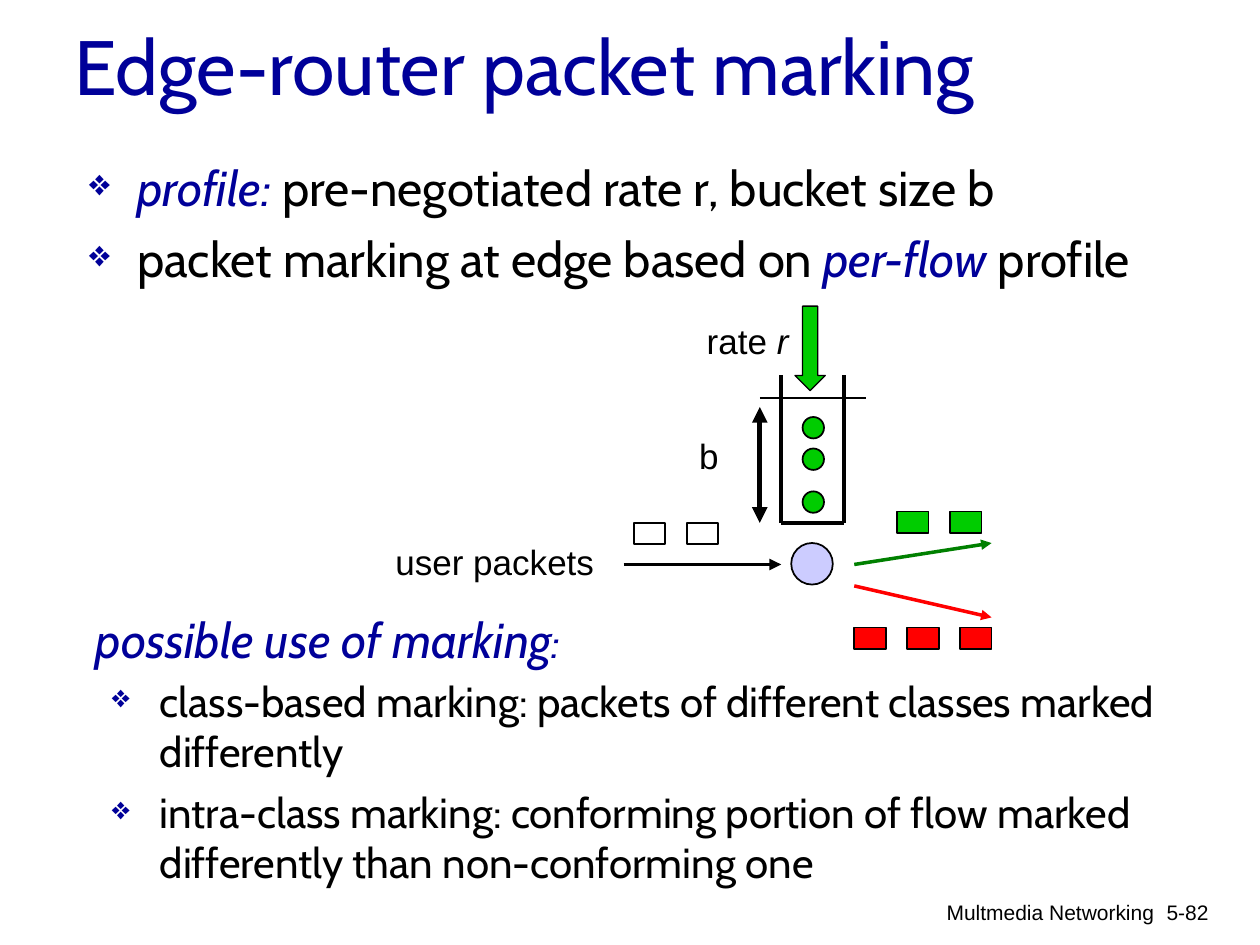
from lxml.etree import SubElement
from pptx import Presentation
from pptx.dml.color import RGBColor
from pptx.enum.shapes import MSO_CONNECTOR, MSO_SHAPE
from pptx.enum.text import MSO_ANCHOR, PP_ALIGN
from pptx.oxml.ns import qn
from pptx.util import Pt

PX = 9144
COLORS = {
    "navy": "000099", "black": "000000", "white": "FFFFFF", "token": "00CC00",
    "red": "FF0000", "green": "008000", "marker": "CCCCFF",
}
NAVY = {"size": 28, "name": "Cabin", "color": "navy", "italic": True}
BODY = {"size": 28, "name": "Cabin", "color": "black", "italic": False}
USE = {**BODY, "size": 24}
LABEL = {"size": 20, "name": "Arial", "color": "black", "italic": False}
FOOTER = {**LABEL, "size": 12}


def fill_text(shape, box, paragraphs, space=0, bullet=False, align=PP_ALIGN.LEFT, anchor=MSO_ANCHOR.TOP):
    shape.left, shape.top, shape.width, shape.height = [value * PX for value in box]
    frame = shape.text_frame
    frame.word_wrap = True
    frame.vertical_anchor = anchor
    for index, runs in enumerate(paragraphs):
        paragraph = frame.add_paragraph() if index else frame.paragraphs[0]
        paragraph.alignment = align
        if index:
            paragraph.space_before = Pt(space)
        if bullet:
            properties = paragraph._p.get_or_add_pPr()
            properties.set("marL", str(38 * PX))
            properties.set("indent", str(-38 * PX))
            color = SubElement(properties, qn("a:buClr"))
            SubElement(color, qn("a:srgbClr"), val=COLORS["navy"])
            SubElement(properties, qn("a:buSzPct"), val="75000")
            SubElement(properties, qn("a:buChar"), char="❖")
        for text, style in runs:
            run = paragraph.add_run()
            run.text = text
            for attribute, value in style.items():
                if attribute == "color":
                    run.font.color.rgb = RGBColor.from_string(COLORS[value])
                else:
                    setattr(run.font, attribute, Pt(value) if attribute == "size" else value)


presentation = Presentation()
presentation.slide_width = 1000 * PX
presentation.slide_height = 750 * PX
slide = presentation.slides.add_slide(presentation.slide_layouts[5])

fill_text(slide.shapes.title, (49, 14, 850, 75),
          [[("Edge-router packet marking", {**BODY, "size": 44, "color": "navy"})]],
          anchor=MSO_ANCHOR.MIDDLE)

profile_points = [
    [("profile: ", NAVY), ("pre-negotiated rate r, bucket size b", BODY)],
    [("packet marking at edge based on ", BODY), ("per-flow ", NAVY), ("profile", BODY)],
]
use_points = [
    [("class-based marking: packets of different classes marked differently", USE)],
    [("intra-class marking: conforming portion of flow marked differently than non-conforming one", USE)],
]
use_heading = [("possible use of marking", NAVY), (":", {**NAVY, "size": 24})]
rate_label = [("rate ", LABEL), ("r", {**LABEL, "italic": True})]
text_boxes = [
    ((61, 120, 875, 100), profile_points, {"space": 7, "bullet": True}),
    ((66, 479, 492, 57), [use_heading], {}),
    ((79, 531, 900, 200), use_points, {"space": 6, "bullet": True}),
    ((304, 424, 233, 44), [[("user packets", LABEL)]], {}),
    ((551, 249, 125, 44), [rate_label], {}),
    ((545, 340, 38, 44), [[("b", LABEL)]], {}),
    ((609, 709, 317, 50), [[("Multmedia Networking", FOOTER)]], {"align": PP_ALIGN.RIGHT}),
    ((895, 709, 74, 50), [[("5-82", FOOTER)]], {"align": PP_ALIGN.RIGHT}),
]
for box, paragraphs, options in text_boxes:
    fill_text(slide.shapes.add_textbox(0, 0, 0, 0), box, paragraphs, **options)

shapes = [
    (MSO_SHAPE.OVAL, (628, 431, 33, 33), "marker", 1),
    (MSO_SHAPE.DOWN_ARROW, (631, 243, 24, 67), "token", 0.75),
]
for left, top, count, color in [(503, 415, 2, "white"), (712, 406, 2, "token"), (678, 498, 3, "red")]:
    for index in range(count):
        shapes.append((MSO_SHAPE.RECTANGLE, (left + 42 * index, top, 25, 17), color, 1))
for top in (331, 356, 390):
    shapes.append((MSO_SHAPE.OVAL, (637, top, 17, 17), "token", 1))
for kind, box, color, width in shapes:
    shape = slide.shapes.add_shape(kind, *[value * PX for value in box])
    shape.shadow.inherit = False
    shape.fill.solid()
    shape.fill.fore_color.rgb = RGBColor.from_string(COLORS[color])
    shape.line.color.rgb = RGBColor.from_string(COLORS["black"])
    shape.line.width = Pt(width)

connectors = [
    ((620, 415, 670, 415), "black", 2.25, []),
    ((603, 316, 687, 316), "black", 0.75, []),
    ((603, 323, 603, 415), "black", 3, ["headEnd", "tailEnd"]),
    ((495, 448, 620, 448), "black", 2.25, ["tailEnd"]),
    ((678, 448, 787, 431), "green", 2, ["tailEnd"]),
    ((678, 465, 787, 490), "red", 2, ["tailEnd"]),
]
for wall in (620, 670):
    connectors.append(((wall, 340, wall, 415), "black", 2.25, []))
    connectors.append(((wall, 340, wall, 298), "black", 2, []))
for ends, color, width, arrowheads in connectors:
    connector = slide.shapes.add_connector(MSO_CONNECTOR.STRAIGHT, *[value * PX for value in ends])
    connector.line.color.rgb = RGBColor.from_string(COLORS[color])
    connector.line.width = Pt(width)
    for arrowhead in arrowheads:
        SubElement(connector.line._get_or_add_ln(), qn("a:" + arrowhead), type="triangle")
    SubElement(connector._element.spPr, qn("a:effectLst"))

presentation.save("out.pptx")
